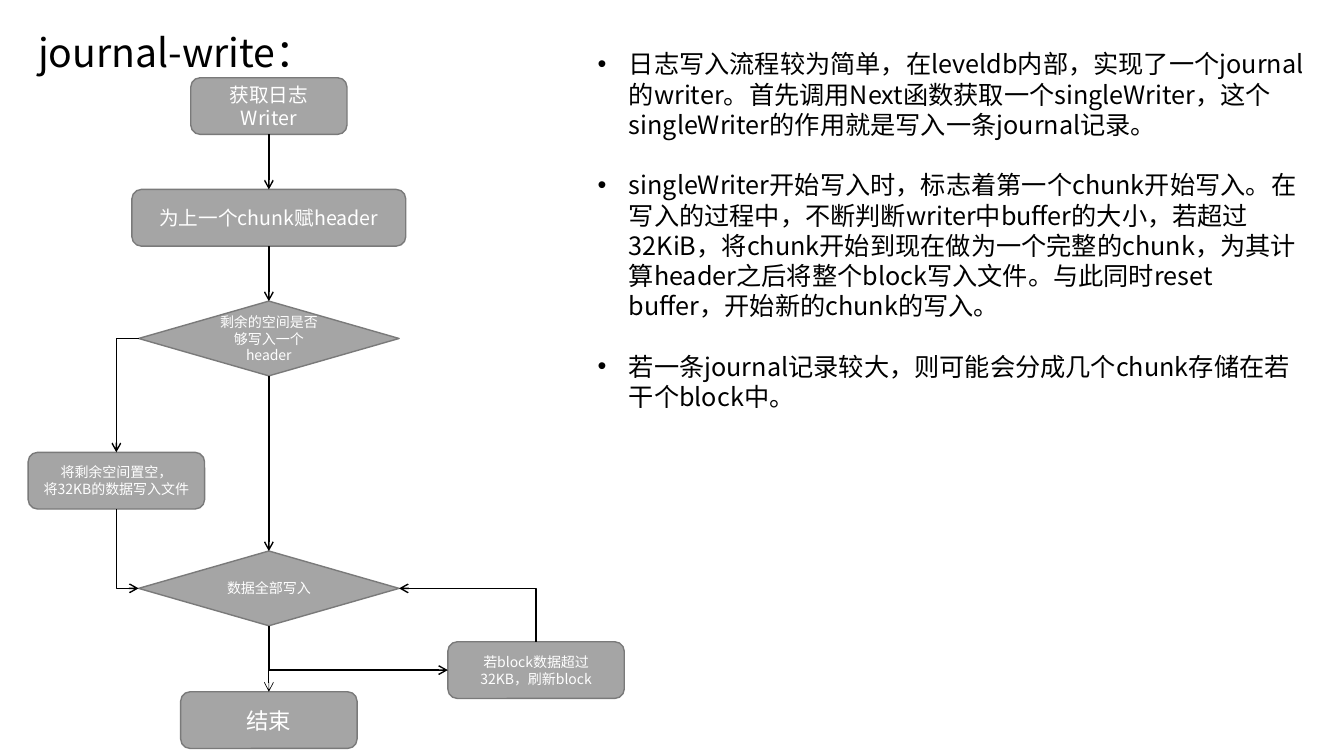
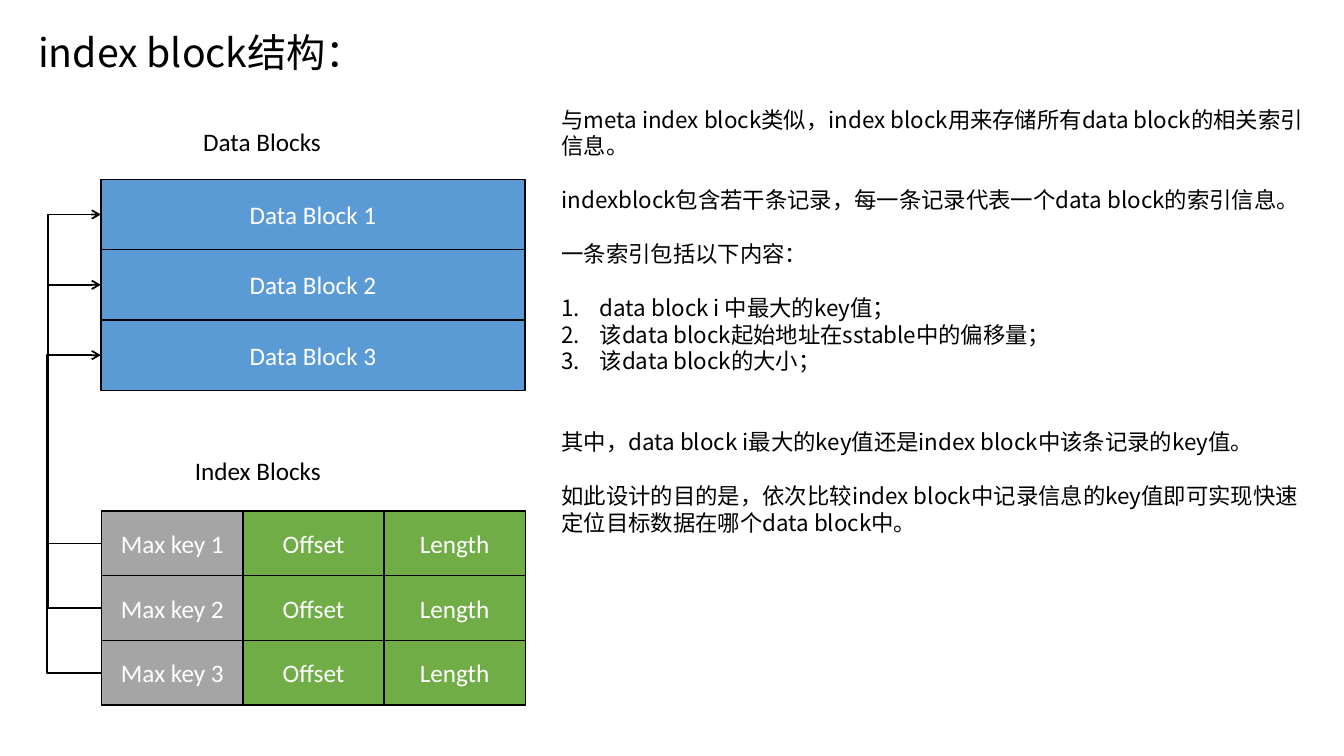
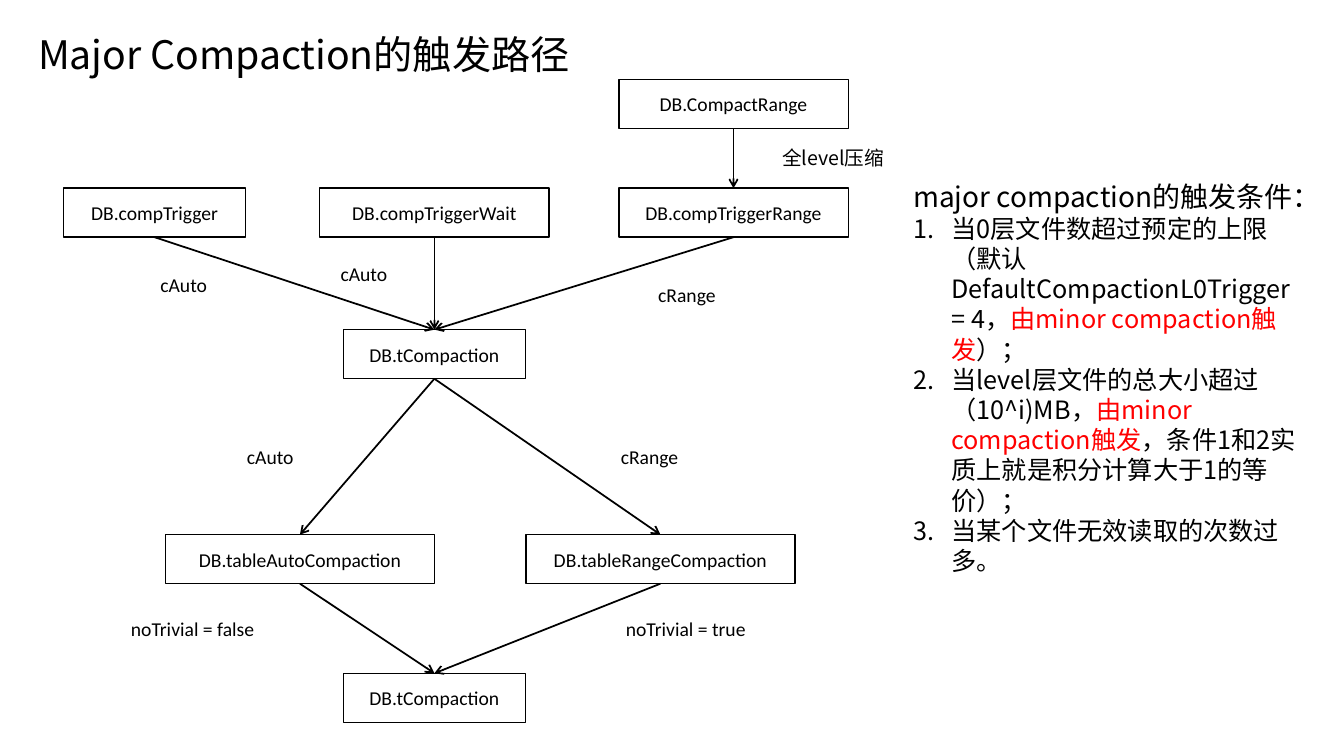
from pptx import Presentation, util as u
from pptx.dml.color import RGBColor
from pptx.enum import shapes, text
from pptx.oxml.ns import qn
from lxml import etree

NOTO, LATIN = "Noto Sans CJK JP", "Calibri"
BLACK, WHITE, GRAY, GRAY_EDGE = "000000", "FFFFFF", "A5A5A5", "7A7A7A"
BLUE, GREEN, RED = "5B9BD5", "70AD47", "FF0000"
TOP, LEFT, BOTTOM, RIGHT = range(4)
ROUNDED = shapes.MSO_SHAPE.FLOWCHART_ALTERNATE_PROCESS
DIAMOND = shapes.MSO_SHAPE.FLOWCHART_DECISION
PROCESS = shapes.MSO_SHAPE.FLOWCHART_PROCESS
CENTER = text.PP_ALIGN.CENTER
COLUMNS = 160
SLIDE_W, SLIDE_H = u.Inches(13.33), u.Inches(7.5)


def g(n):
    """Length of n grid cells; the slide is 160 columns by 90 rows."""
    return round(n * SLIDE_H / 90)


def rgb(value):
    return RGBColor.from_string(value)


def add_xml(parent, tag, **attrs):
    return etree.SubElement(parent, qn(tag), attrs)


def add_run(p, words, size, font, color):
    r = p.add_run()
    r.text = words
    for name, value in {"size": u.Pt(size), "name": font}.items():
        setattr(r.font, name, value)
    r.font.color.rgb = rgb(color)
    r.font._element.find(qn("a:latin")).addnext(
        etree.Element(qn("a:ea"), typeface=font))


def para(words, bullet=None, gap=0, size=None):
    """Paragraph data: words or (words, colour) runs; gap counts lines before."""
    runs = words if isinstance(words, list) else [(words, None)]
    return dict(runs=runs, bullet=bullet, gap=gap, size=size)


def fill_text(tf, paras, size, font, color=BLACK, align=None, leading=1.2):
    tf.word_wrap = True
    for i, item in enumerate(paras):
        p = tf.paragraphs[0] if i == 0 else tf.add_paragraph()
        pt = item["size"] or size
        if item["bullet"]:
            pPr = p._p.get_or_add_pPr()
            indent = u.Inches(0.31 if item["bullet"] == "•" else 0.38)
            pPr.set("marL", str(indent))
            pPr.set("indent", str(-indent))
            if item["bullet"] == "•":
                add_xml(pPr, "a:buFont", typeface="Arial")
                add_xml(pPr, "a:buChar", char="•")
            else:
                add_xml(pPr, "a:buAutoNum", type="arabicPeriod")
        if align is not None:
            p.alignment = align
        if font == NOTO:
            p.line_spacing = u.Pt(round(pt * leading, 1))
        if item["gap"]:
            p.space_before = u.Pt(round(pt * leading * item["gap"], 1))
        for words, run_color in item["runs"]:
            add_run(p, words, pt, font, run_color or color)


def add_text(slide, x, y, w, h, paras, size, font=NOTO, **style):
    sp = slide.shapes.add_textbox(g(x), g(y), g(w), g(h))
    fill_text(sp.text_frame, paras, size, font, **style)


def add_title(slide, words, y=2.4):
    add_text(slide, 3.36, y, 80, 6.84, [para(words)], 28, leading=1.28)


def add_label(slide, x, y, words, size=14, font=LATIN):
    add_text(slide, x, y, 22, 4.1, [para(words)], size, font)


def add_node(slide, kind, x, y, w, h, lines, fill, edge, size, font, color):
    sp = slide.shapes.add_shape(kind, g(x), g(y), g(w), g(h))
    sp.shadow.inherit = False
    sp.fill.solid()
    sp.fill.fore_color.rgb = rgb(fill)
    sp.line.color.rgb = rgb(edge)
    sp.line.width = u.Pt(1)
    sp.text_frame.vertical_anchor = text.MSO_ANCHOR.MIDDLE
    fill_text(sp.text_frame, [para(s) for s in lines.split("\n")],
              size, font, color, CENTER)
    return sp


def join(slide, start, start_side, end, end_side, width=1.25,
         arrow="a:tailEnd", kind=shapes.MSO_CONNECTOR.STRAIGHT):
    c = slide.shapes.add_connector(kind, 0, 0, 0, 0)
    c.begin_connect(start, start_side)
    c.end_connect(end, end_side)
    c.line.color.rgb = rgb(BLACK)
    c.line.width = u.Pt(width)
    add_xml(c.line._get_or_add_ln(), arrow, type="arrow")
    add_xml(c._element.spPr, "a:effectLst")
    return c


def join_corner(slide, start, start_side, end, end_side, arrow="a:tailEnd"):
    """One-bend connector that leaves its start horizontally."""
    c = join(slide, start, start_side, end, end_side, 1, arrow,
             shapes.MSO_CONNECTOR.ELBOW)
    c._element.spPr.find(qn("a:prstGeom")).set("prst", "bentConnector2")


def join_around(slide, start, end, depth):
    """Connector from left side to left side that swings out by depth cells."""
    c = join(slide, start, LEFT, end, LEFT, kind=shapes.MSO_CONNECTOR.ELBOW)
    xfrm = c._element.spPr.find(qn("a:xfrm"))
    for flip in ("flipH", "flipV"):
        xfrm.attrib.pop(flip, None)
    xfrm.set("rot", "10800000")
    guides = c._element.spPr.find(qn("a:prstGeom")).find(qn("a:avLst"))
    share = round(g(depth) / c.width * 100000)
    add_xml(guides, "a:gd", name="adj1", fmla=f"val {share}")


def journal_slide(slide):
    add_title(slide, "journal-write：")

    def step(kind, cx, y, w, words, size):
        h = 8.9 if kind == DIAMOND else 6.75
        return add_node(slide, kind, cx - w / 2, y, w, h, words,
                        GRAY, GRAY_EDGE, size, NOTO, WHITE)

    main_x = 32
    writer = step(ROUNDED, main_x, 9.25, 18.6, "获取日志Writer", 14)
    header = step(ROUNDED, main_x, 22.55, 32.6, "为上一个chunk赋header", 14)
    room = step(DIAMOND, main_x, 35.85, 31, "剩余的空间是否够写入一个header", 10)
    clear = step(ROUNDED, 13.85, 53.85, 21,
                 "将剩余空间置空，\n将32KB的数据写入文件", 10)
    done = step(DIAMOND, main_x, 65.6, 31, "数据全部写入", 10)
    flush = step(ROUNDED, 63.8, 76.4, 21, "若block数据超过32KB，刷新block", 10)
    end = step(ROUNDED, main_x, 82.35, 21, "结束", 16)

    for a, b, width in ((writer, header, 1), (header, room, 1),
                        (room, done, 1), (done, end, 0.5)):
        join(slide, a, BOTTOM, b, TOP, width)
    join_corner(slide, room, LEFT, clear, TOP)
    for target, side, source, exit_side in ((done, LEFT, clear, BOTTOM),
                                            (flush, LEFT, done, BOTTOM),
                                            (done, RIGHT, flush, TOP)):
        join_corner(slide, target, side, source, exit_side, "a:headEnd")

    add_text(slide, 69.95, 5.2, 86.75, 44.75, [
        para("日志写入流程较为简单，在leveldb内部，实现了一个journal的writer。"
             "首先调用Next函数获取一个singleWriter，这个singleWriter的作用就是"
             "写入一条journal记录。", "•"),
        para("singleWriter开始写入时，标志着第一个chunk开始写入。在写入的过程中，"
             "不断判断writer中buffer的大小，若超过32KiB，将chunk开始到现在做为"
             "一个完整的chunk，为其计算header之后将整个block写入文件。"
             "与此同时reset buffer，开始新的chunk的写入。", "•", 1),
        para("若一条journal记录较大，则可能会分成几个chunk存储在若干个block中。",
             "•", 1),
    ], 18)


def index_slide(slide):
    add_title(slide, "index block结构：")
    data_h, cell_w, cell_h = 8.37, 16.8, 7.7

    def cell(x, y, w, h, words, fill):
        return add_node(slide, PROCESS, x, y, w, h, words,
                        fill, BLACK, 18, LATIN, WHITE)

    blocks = [cell(12, 21.35 + i * data_h, 50.5, data_h,
                   f"Data Block {i + 1}", BLUE) for i in range(3)]
    keys = []
    for i in range(3):
        row = [cell(12.12 + j * cell_w, 60.85 + i * cell_h, cell_w, cell_h,
                    words, fill)
               for j, (words, fill) in enumerate(((f"Max key {i + 1}", GRAY),
                                                  ("Offset", GREEN),
                                                  ("Length", GREEN)))]
        keys.append(row[0])
    add_label(slide, 23, 14.4, "Data Blocks", 18)
    add_label(slide, 22, 53.65, "Index Blocks", 18)
    for key, block, depth in zip(keys, blocks, (6.5, 6.5, 6.6)):
        join_around(slide, key, block, depth)

    add_text(slide, 65.65, 12, 90.85, 53, [
        para("与meta index block类似，index block用来存储所有data block的"
             "相关索引信息。"),
        para("indexblock包含若干条记录，每一条记录代表一个data block的索引信息。",
             gap=1),
        para("一条索引包括以下内容：", gap=1),
        para("data block i 中最大的key值；", "1.", 1),
        para("该data block起始地址在sstable中的偏移量；", "1."),
        para("该data block的大小；", "1."),
        para("其中，data block i最大的key值还是index block中该条记录的key值。",
             gap=2),
        para("如此设计的目的是，依次比较index block中记录信息的key值即可实现"
             "快速定位目标数据在哪个data block中。", gap=1),
    ], 16)


def compaction_slide(slide):
    add_title(slide, "Major Compaction的触发路径", 2.64)
    mid_x, range_x, auto_x, table_x = 51.7, 87.3, 35.7, 78.6

    def call(cx, y, w, name):
        return add_node(slide, PROCESS, cx - w / 2, y, w, 5.84, name,
                        WHITE, BLACK, 14, LATIN, BLACK)

    trigger = call(18.4, 22.4, 21.7, "DB.compTrigger")
    wait = call(mid_x, 22.4, 27.3, "DB.compTriggerWait")
    trigger_range = call(range_x, 22.4, 27.3, "DB.compTriggerRange")
    compact_range = call(range_x, 9.45, 27.3, "DB.CompactRange")
    compaction = call(mid_x, 39.25, 21.7, "DB.tCompaction")
    table_auto = call(auto_x, 63.65, 32, "DB.tableAutoCompaction")
    table_range = call(table_x, 63.65, 32, "DB.tableRangeCompaction")
    final = call(mid_x, 80.15, 21.7, "DB.tCompaction")

    for a, b in ((compact_range, trigger_range), (trigger, compaction),
                 (wait, compaction), (trigger_range, compaction),
                 (compaction, table_auto), (compaction, table_range),
                 (table_auto, final), (table_range, final)):
        join(slide, a, BOTTOM, b, TOP)

    for x, y, words in ((17.9, 31.9, "cAuto"), (39.35, 30.6, "cAuto"),
                        (77.15, 33.1, "cRange"), (28.2, 52.4, "cAuto"),
                        (72.7, 52.4, "cRange"),
                        (14.4, 72.85, "noTrivial = false"),
                        (73.3, 72.85, "noTrivial = true")):
        add_label(slide, x, y, words)
    add_label(slide, 91.9, 16.8, "全level压缩", font=NOTO)

    cause = ("由minor compaction触发", RED)
    add_text(slide, 107.5, 20.75, 48.35, 52, [
        para("major compaction的触发条件：", size=20),
        para([("当0层文件数超过预定的上限（默认DefaultCompactionL0Trigger = 4，",
               None), cause, ("）；", None)], "1."),
        para([("当level层文件的总大小超过（10^i)MB，", None), cause,
              ("，条件1和2实质上就是积分计算大于1的等价）；", None)], "1."),
        para("当某个文件无效读取的次数过多。", "1."),
    ], 18)


def main():
    prs = Presentation()
    prs.slide_width, prs.slide_height = SLIDE_W, SLIDE_H
    for build in (journal_slide, index_slide, compaction_slide):
        build(prs.slides.add_slide(prs.slide_layouts[6]))
    prs.save("out.pptx")


if __name__ == "__main__":
    main()
